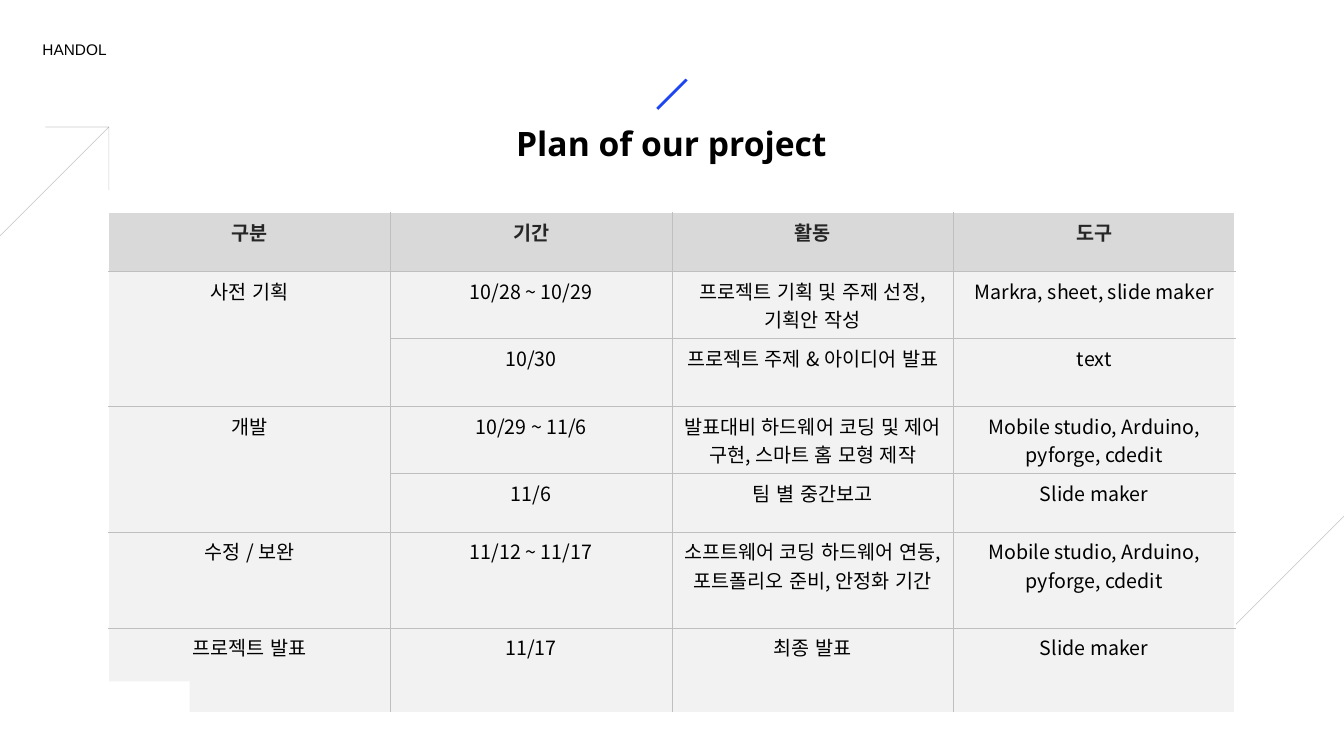
from dataclasses import dataclass

from lxml import etree
from pptx import Presentation
from pptx import util as u
from pptx.dml import color
from pptx.enum import lang, shapes, text
from pptx.oxml import ns

COLORS = {
    "black": "000000",
    "white": "FFFFFF",
    "accent": "1D46F3",
    "heading": "262626",
    "heading_fill": "D9D9D9",
    "body_fill": "F2F2F2",
    "grid": "BFBFBF",
}
TABLE_FONT = "Noto Sans CJK KR"


@dataclass
class Stroke:
    start: tuple[float, float]
    end: tuple[float, float]
    color: str = "black"
    width: float = 0.5
    opacity: int = 20


@dataclass
class Patch:
    left: float
    top: float
    width: float
    height: float
    label: str = ""


STROKES = [
    Stroke((6.52, 1.08), (6.81, 0.79), "accent", 2, 100),
    Stroke((0, 2.34), (1.08, 1.26)),
    Stroke((1.08, 1.26), (1.08, 1.89)),
    Stroke((1.08, 1.26), (0.45, 1.26)),
    Stroke((11.45, 7), (13.34, 5.11)),
]
PATCHES = [
    Patch(0.23, 6.76, 1.65, 0.47),
    Patch(0.22, 0.25, 1.04, 0.47, "HANDOL"),
]
DEV_TOOLS = "Mobile studio, Arduino, pyforge, cdedit"
PLAN = [
    ("구분", "기간", "활동", "도구"),
    ("사전 기획", "10/28 ~ 10/29", "프로젝트 기획 및 주제 선정, 기획안 작성",
     "Markra, sheet, slide maker"),
    ("", "10/30", "프로젝트 주제 & 아이디어 발표", "text"),
    ("개발", "10/29 ~ 11/6", "발표대비 하드웨어 코딩 및 제어 구현, 스마트 홈 모형 제작", DEV_TOOLS),
    ("", "11/6", "팀 별 중간보고", "Slide maker"),
    ("수정 / 보완", "11/12 ~ 11/17",
     "소프트웨어 코딩 하드웨어 연동, 포트폴리오 준비, 안정화 기간", DEV_TOOLS),
    ("프로젝트 발표", "11/17", "최종 발표", "Slide maker"),
]
ROW_HEIGHTS = [0.58, 0.67, 0.67, 0.67, 0.58, 0.95, 0.84]


def rgb(name: str) -> color.RGBColor:
    return color.RGBColor.from_string(COLORS[name])


def style(paragraph, font: str, size: float, ink: str = "black", bold: bool = False) -> None:
    paragraph.alignment = text.PP_ALIGN.CENTER
    paragraph.font.name = font
    paragraph.font.size = u.Pt(size)
    paragraph.font.bold = bold
    paragraph.font.color.rgb = rgb(ink)


def style_korean(paragraph) -> None:
    paragraph.font.language_id = lang.MSO_LANGUAGE_ID.KOREAN
    defaults = paragraph._p.pPr.find(ns.qn("a:defRPr"))
    defaults.set("kern", "0")
    etree.SubElement(defaults, ns.qn("a:ea"), typeface=TABLE_FONT)


def draw_stroke(slide, stroke: Stroke) -> None:
    ends = [u.Inches(value) for value in stroke.start + stroke.end]
    line = slide.shapes.add_connector(shapes.MSO_CONNECTOR.STRAIGHT, *ends)
    line.line.color.rgb = rgb(stroke.color)
    line.line.width = u.Pt(stroke.width)
    properties = line._element.spPr
    etree.SubElement(properties, ns.qn("a:effectLst"))
    if stroke.opacity < 100:
        ink = properties.find(".//" + ns.qn("a:srgbClr"))
        etree.SubElement(ink, ns.qn("a:alpha"), val=str(stroke.opacity * 1000))


def draw_title(slide) -> None:
    title = slide.shapes.add_textbox(
        u.Inches(1.88), u.Inches(1.09), u.Inches(9.56), u.Inches(0.7))
    frame = title.text_frame
    frame.word_wrap = True
    frame.margin_left = frame.margin_right = frame.margin_bottom = 0
    frame.margin_top = u.Inches(0.21)
    paragraph = frame.paragraphs[0]
    paragraph.text = "Plan of our project"
    paragraph.line_spacing = 0.8
    style(paragraph, "Open Sans", 24, bold=True)


def draw_patch(slide, patch: Patch) -> None:
    box = slide.shapes.add_shape(
        shapes.MSO_SHAPE.RECTANGLE, u.Inches(patch.left), u.Inches(patch.top),
        u.Inches(patch.width), u.Inches(patch.height))
    box.shadow.inherit = False
    box.fill.solid()
    box.fill.fore_color.rgb = rgb("white")
    box.line.fill.background()
    if patch.label:
        box.text_frame.vertical_anchor = text.MSO_ANCHOR.MIDDLE
        paragraph = box.text_frame.paragraphs[0]
        paragraph.text = patch.label
        style(paragraph, "Arial", 11)


def set_borders(cell, outer: dict[str, bool]) -> None:
    properties = cell._tc.get_or_add_tcPr()
    for index, (side, is_outer) in enumerate(outer.items()):
        ink, width = ("white", 1) if is_outer else ("grid", 0.5)
        border = etree.Element(ns.qn(f"a:{side}"), w=str(u.Pt(width)))
        fill = etree.SubElement(border, ns.qn("a:solidFill"))
        etree.SubElement(fill, ns.qn("a:srgbClr"), val=COLORS[ink])
        properties.insert(index, border)


def draw_plan(slide) -> None:
    row_count, column_count = len(PLAN), len(PLAN[0])
    plan = slide.shapes.add_table(
        row_count, column_count, u.Inches(1.08), u.Inches(2.11),
        u.Inches(11.17), u.Inches(sum(ROW_HEIGHTS))).table
    plan.first_row = plan.horz_banding = False
    for row, height in zip(plan.rows, ROW_HEIGHTS):
        row.height = u.Inches(height)
    for r, entries in enumerate(PLAN):
        for c, entry in enumerate(entries):
            cell = plan.cell(r, c)
            heading = r == 0
            cell.margin_left = cell.margin_right = u.Inches(0.11)
            cell.fill.solid()
            cell.fill.fore_color.rgb = rgb("heading_fill" if heading else "body_fill")
            set_borders(cell, {"lnL": c == 0, "lnR": c == column_count - 1,
                               "lnT": heading, "lnB": r == row_count - 1})
            paragraph = cell.text_frame.paragraphs[0]
            paragraph.text = entry
            style(paragraph, TABLE_FONT, 14, "heading" if heading else "black", heading)
            style_korean(paragraph)
            if not entry:
                plan.cell(r - 1, c).merge(cell)


def main() -> None:
    deck = Presentation()
    deck.slide_width = u.Inches(13.33)
    deck.slide_height = u.Inches(7.5)
    slide = deck.slides.add_slide(deck.slide_layouts[6])
    for stroke in STROKES:
        draw_stroke(slide, stroke)
    draw_title(slide)
    draw_plan(slide)
    for patch in PATCHES:
        draw_patch(slide, patch)
    deck.save("out.pptx")


if __name__ == "__main__":
    main()
